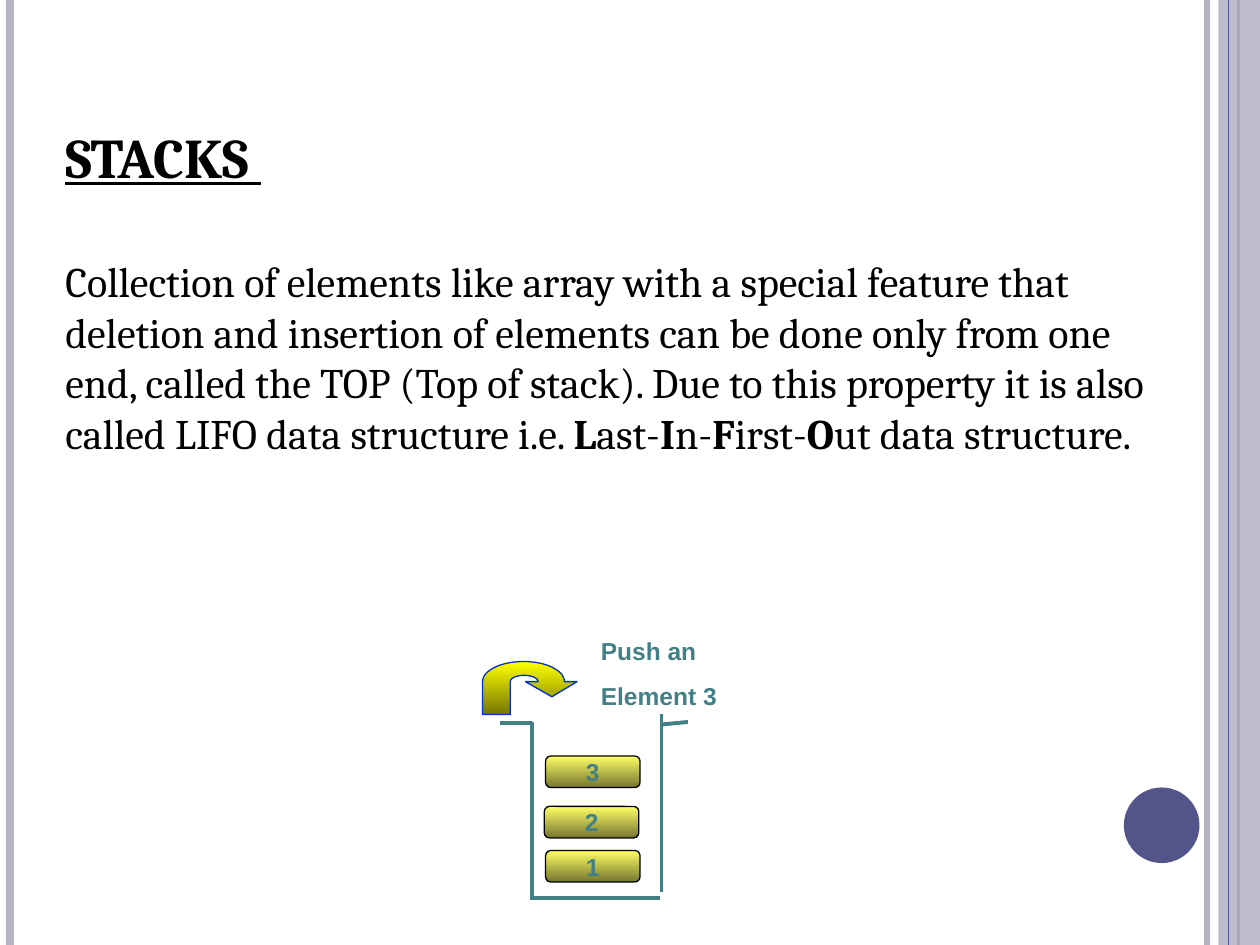
"""Build a slide that explains stacks with a push diagram."""
from math import cos, pi, sin

from lxml.etree import SubElement
from pptx import Presentation
from pptx.dml.color import RGBColor
from pptx.enum.shapes import MSO_CONNECTOR, MSO_SHAPE
from pptx.enum.text import MSO_ANCHOR, PP_ALIGN
from pptx.oxml.ns import qn
from pptx.util import Inches, Pt

BLACK = RGBColor(0x00, 0x00, 0x00)
LAVENDER = RGBColor(0xB3, 0xB3, 0xC4)
INDIGO = RGBColor(0x53, 0x54, 0x8A)
TEAL = RGBColor(0x43, 0x80, 0x86)
BLUE = RGBColor(0x00, 0x33, 0xCC)
YELLOW = RGBColor(0xFF, 0xFF, 0x00)
OLIVE = RGBColor(0x76, 0x76, 0x00)
PALE_YELLOW = RGBColor(0xFF, 0xFF, 0x66)
PALE_OLIVE = RGBColor(0x76, 0x76, 0x2F)

TITLE = {"name": "Cambria", "size": Pt(32), "bold": True, "underline": True}
BODY = {"name": "Cambria", "size": Pt(24)}
LABEL = {"name": "Arial", "size": Pt(14), "bold": True}

presentation = Presentation()
presentation.slide_width = Inches(10)
presentation.slide_height = Inches(7.5)
slide = presentation.slides.add_slide(presentation.slide_layouts[6])


def add_line(start_x, start_y, end_x, end_y, color, width):
    line = slide.shapes.add_connector(
        MSO_CONNECTOR.STRAIGHT,
        Inches(start_x), Inches(start_y), Inches(end_x), Inches(end_y))
    line.line.color.rgb = color
    line.line.width = Pt(width)
    SubElement(line._element.spPr, qn("a:effectLst"))
    return line


def add_run(paragraph, text, color, values):
    run = paragraph.add_run()
    run.text = text
    run.font.color.rgb = color
    for name, value in values.items():
        setattr(run.font, name, value)


for x, color, width in [(9.58, LAVENDER, 3), (0.08, LAVENDER, 4.5), (9.83, INDIGO, 1.5)]:
    add_line(x, 0, x, 7.5, color, width)

for kind, box, color in [
    (MSO_SHAPE.RECTANGLE, (9.67, 0, 0.33, 7.5), LAVENDER),
    (MSO_SHAPE.OVAL, (8.92, 6.25, 0.6, 0.6), INDIGO),
]:
    shape = slide.shapes.add_shape(kind, *map(Inches, box))
    shape.shadow.inherit = False
    shape.fill.solid()
    shape.fill.fore_color.rgb = color
    shape.line.fill.background()
    if kind == MSO_SHAPE.RECTANGLE:
        fill_color = shape._element.spPr.find(qn("a:solidFill"))[0]
        SubElement(fill_color, qn("a:alpha"), val="87000")
add_line(9.75, 0, 9.75, 7.5, INDIGO, 0.75)

definition = slide.shapes.add_textbox(Inches(0.42), Inches(0.92), Inches(9), Inches(3.97))
definition.text_frame.word_wrap = True
add_run(definition.text_frame.paragraphs[0], "STACKS ", BLACK, TITLE)
paragraph = definition.text_frame.add_paragraph()
paragraph.space_before = Pt(38)
for text, bold in [
    ("Collection of elements like array with a special feature that deletion and "
     "insertion of elements can be done only from one end, called the TOP (Top of "
     "stack). Due to this property it is also called LIFO data structure i.e. ", False),
    ("L", True), ("ast-", False), ("I", True), ("n-", False),
    ("F", True), ("irst-", False), ("O", True), ("ut data structure.", False),
]:
    add_run(paragraph, text, BLACK, BODY | {"bold": bold})

steps = [pi * step / 24 for step in range(25)]
outer_arc = [(4.155 + 0.325 * cos(angle), 5.41 - 0.16 * sin(angle)) for angle in steps]
inner_arc = [(4.16 - 0.11 * cos(angle), 5.41 - 0.05 * sin(angle)) for angle in steps]
outline = [(4.58, 5.41), *outer_arc, (3.83, 5.67), (4.05, 5.67), *inner_arc, (4.17, 5.41)]
builder = slide.shapes.build_freeform(Inches(4.38), Inches(5.53))
builder.add_line_segments([(Inches(x), Inches(y)) for x, y in outline])
push_arrow = builder.convert_to_shape()
gradient_shapes = [(push_arrow, YELLOW, OLIVE, BLUE)]

for text, left, top in [("1", 4.33, 6.75), ("2", 4.32, 6.4), ("3", 4.33, 6)]:
    element = slide.shapes.add_shape(
        MSO_SHAPE.ROUNDED_RECTANGLE, Inches(left), Inches(top), Inches(0.75), Inches(0.25))
    element.text_frame.word_wrap = False
    element.text_frame.vertical_anchor = MSO_ANCHOR.MIDDLE
    paragraph = element.text_frame.paragraphs[0]
    paragraph.alignment = PP_ALIGN.CENTER
    add_run(paragraph, text, TEAL, LABEL)
    gradient_shapes.append((element, PALE_YELLOW, PALE_OLIVE, BLACK))

for shape, top_color, bottom_color, line_color in gradient_shapes:
    shape.shadow.inherit = False
    shape.fill.gradient()
    shape.fill.gradient_angle = 270
    for stop, color, position in zip(
            shape.fill.gradient_stops, (top_color, bottom_color), (0, 1)):
        stop.color.rgb = color
        stop.position = position
    shape.line.color.rgb = line_color
    shape.line.width = Pt(0.75)

for container_side in [
    (3.97, 5.74, 4.22, 5.74),
    (4.22, 5.73, 4.22, 7.14),
    (4.24, 7.13, 5.24, 7.13),
    (5.25, 5.67, 5.25, 7.08),
    (5.25, 5.75, 5.46, 5.73),
]:
    add_line(*container_side, TEAL, 2.25)

push_label = slide.shapes.add_textbox(Inches(4.67), Inches(5), Inches(1.25), Inches(0.69))
push_label.text_frame.word_wrap = True
add_run(push_label.text_frame.paragraphs[0], "Push an", TEAL, LABEL)
paragraph = push_label.text_frame.add_paragraph()
paragraph.space_before = Pt(8.8)
add_run(paragraph, "Element 3", TEAL, LABEL)

presentation.save("out.pptx")
